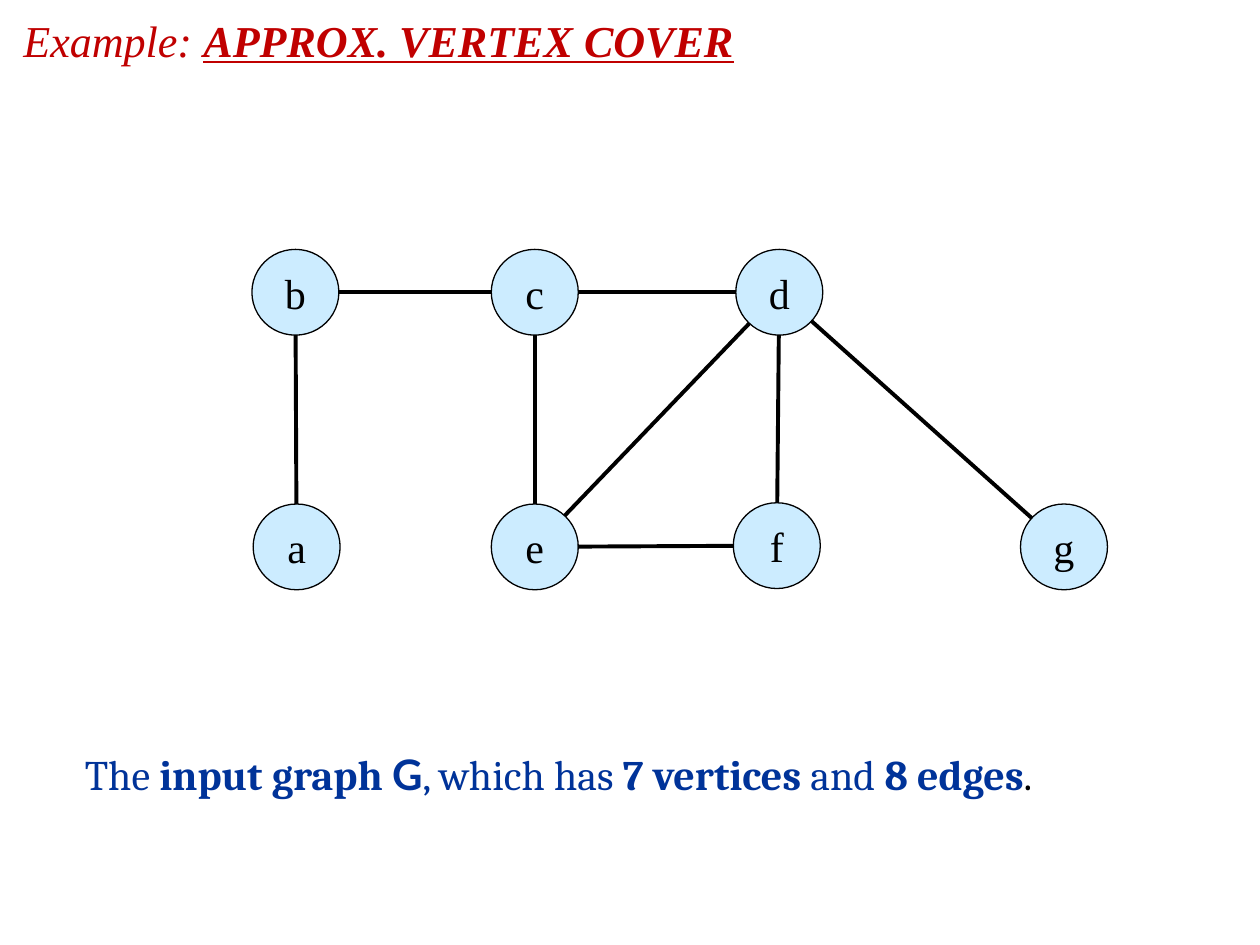
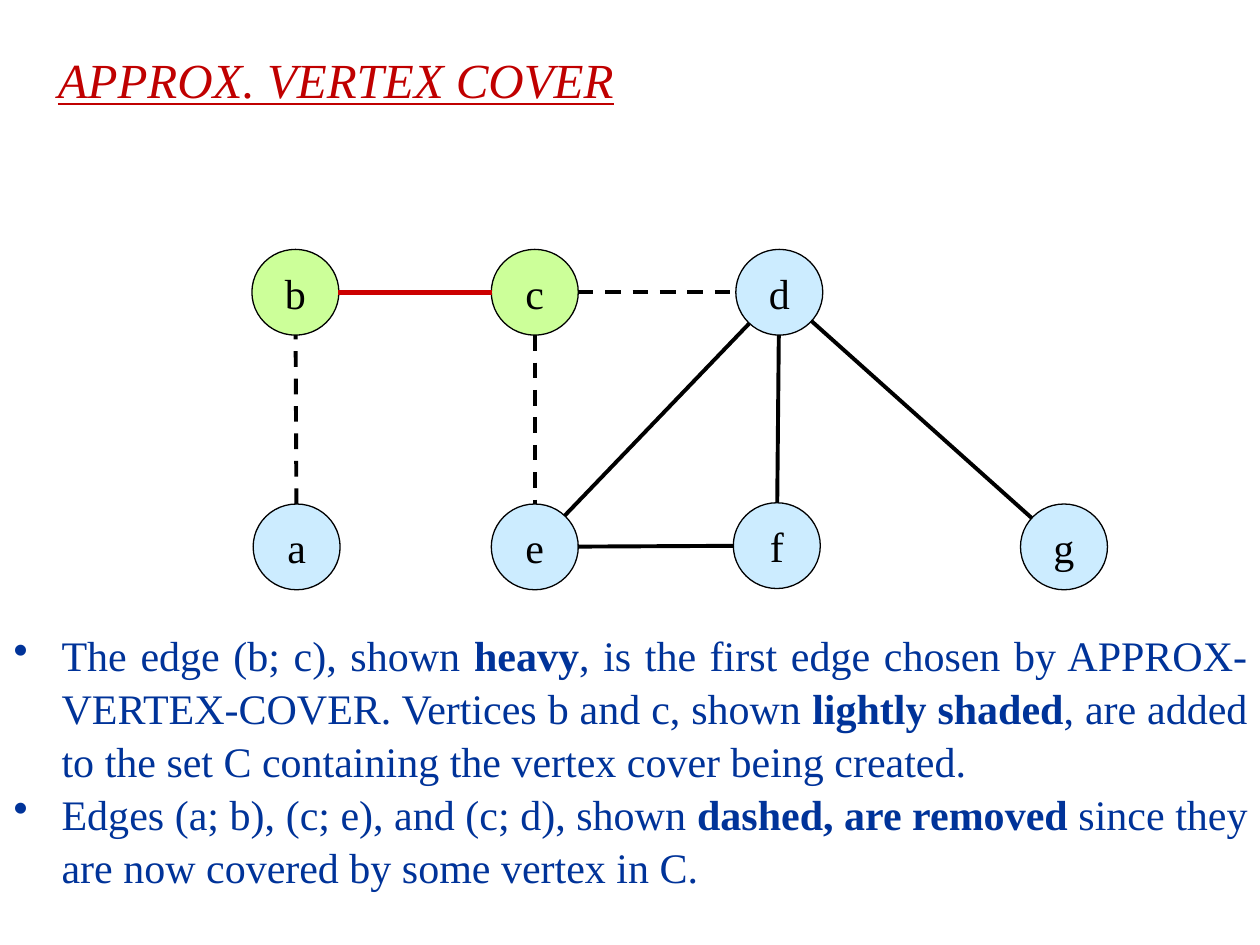
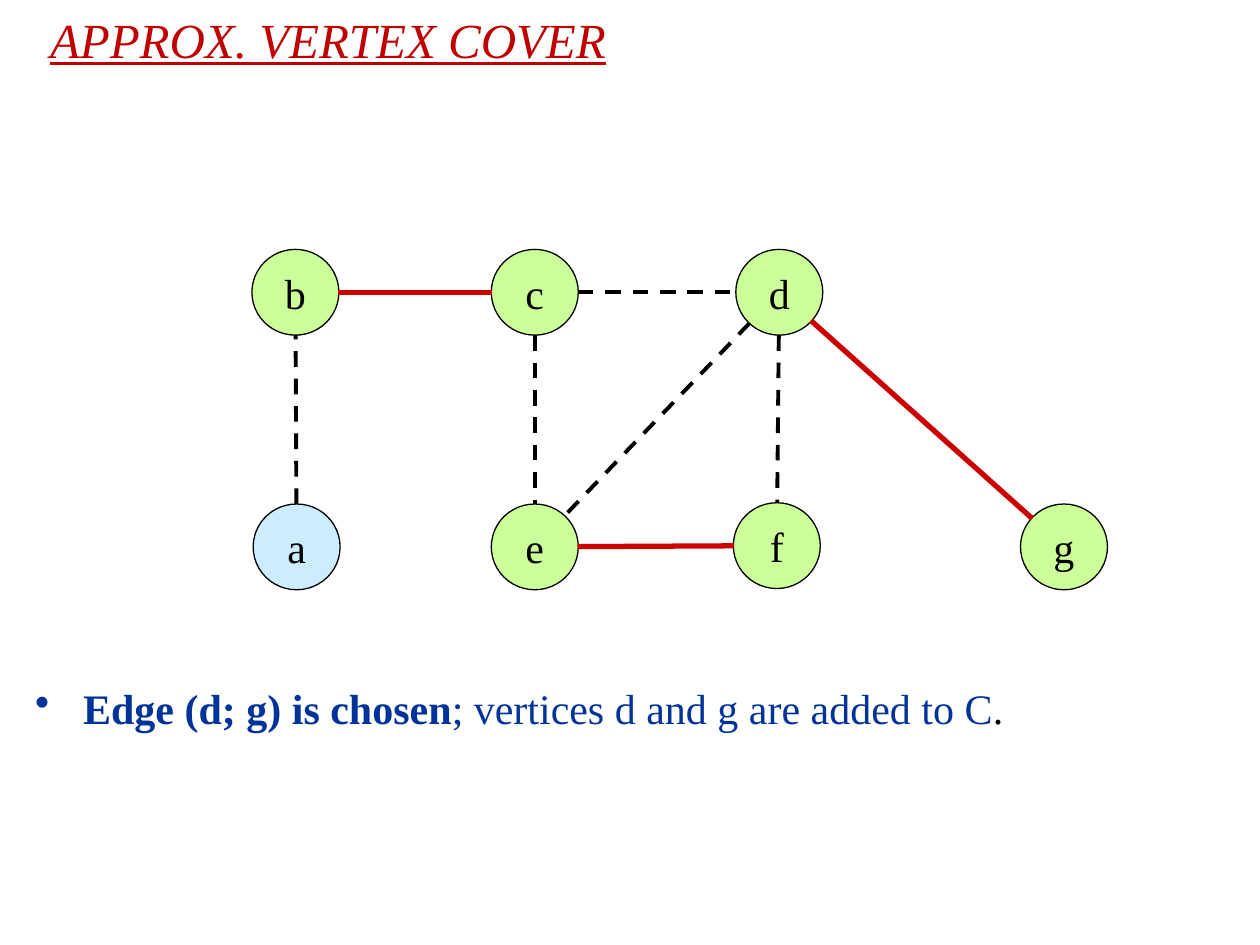
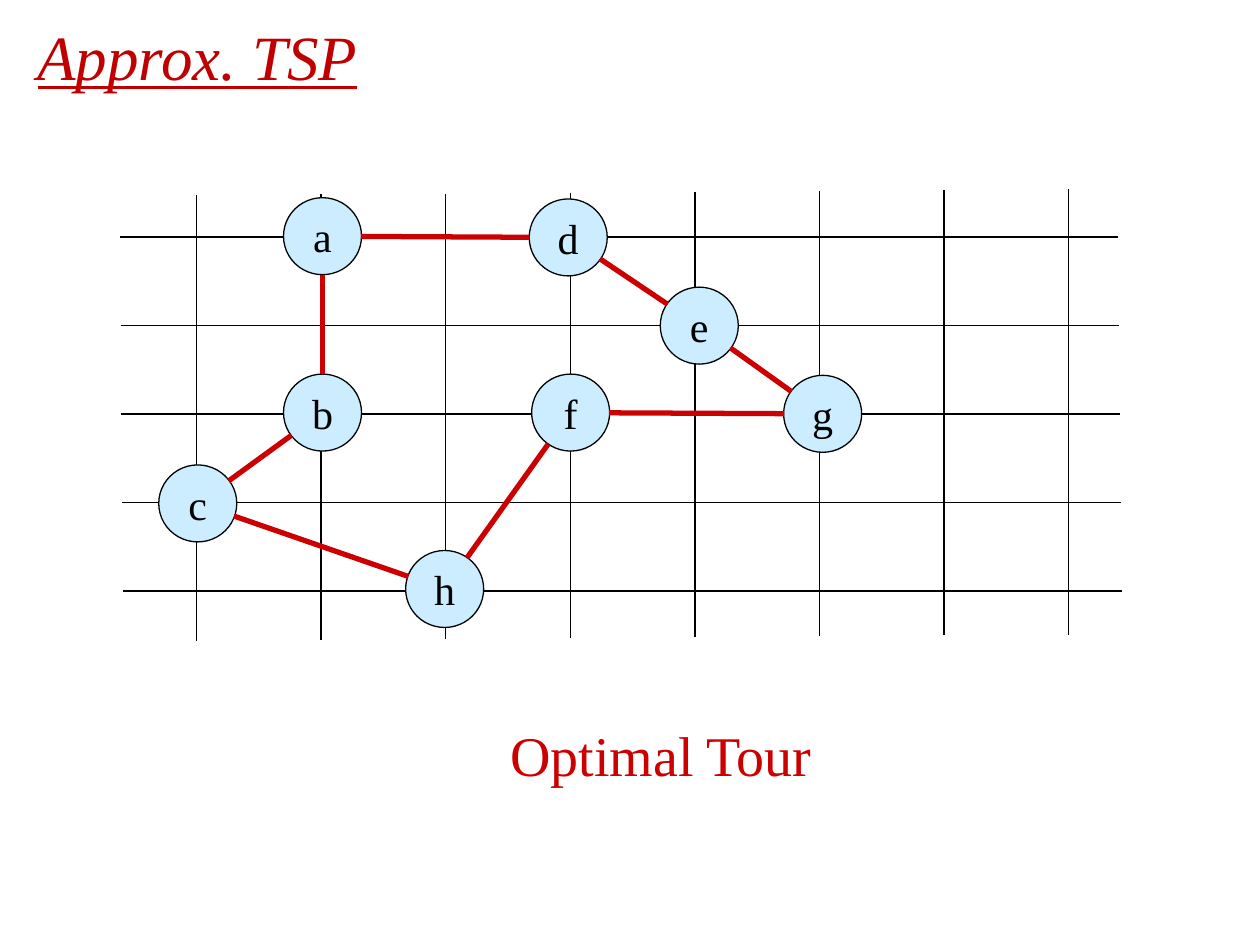
"""Build four slides on approximate vertex cover and the travelling salesman tour."""
import math
import pptx
import pptx.util
import pptx.dml.color
import pptx.enum.dml
import pptx.enum.shapes
import pptx.enum.text
import pptx.oxml.ns
from lxml import etree

Pt = pptx.util.Pt
RGB = pptx.dml.color.RGBColor
ALIGN = pptx.enum.text.PP_ALIGN
ANCHOR = pptx.enum.text.MSO_ANCHOR

BLACK = RGB(0x00, 0x00, 0x00)
MAROON = RGB(0xC0, 0x00, 0x00)
RED = RGB(0xCC, 0x00, 0x00)
NAVY = RGB(0x00, 0x33, 0x99)
BLUE = RGB(0xCC, 0xEC, 0xFF)
GREEN = RGB(0xCC, 0xFF, 0x99)
SERIF = "Times New Roman"

BOLD = {"bold": True}
TITLE = {"size": 28, "color": MAROON, "italic": True, "under": True}
BODY = {"size": 24, "color": NAVY}
LABEL = {"size": 24, "color": BLACK}

COVER = {
    "size": (49.7, 49),
    "nodes": {"a": (169.5, 312.5), "d": (445.3, 167), "c": (305.6, 167), "b": (168.8, 167),
              "e": (305.6, 312.5), "f": (443.9, 311.8), "g": (608, 312.5)},
    "edges": ["bc", "cd", "ef", "ce", "ab", "df", "de", "dg"],
}
TOUR = {
    "size": (44.6, 44),
    "nodes": {"h": (254.1, 336.6), "c": (113, 287.7), "b": (184.3, 235.8), "g": (470.1, 236.5),
              "f": (326.1, 235.8), "e": (399.6, 186.1), "a": (184.3, 135), "d": (324.7, 135.7)},
    "edges": ["ab", "bc", "de", "ch", "fg", "hf", "eg", "ad"],
}
GRID = {"rows": 5, "cols": 8, "left": 68.4, "top": 111.6, "x": 112.3, "y": 135.4,
        "wide": 570.5, "high": 254.5, "dx": 71.2, "dy": 50.6, "drift": 0.5}

SLIDES = [
    {"title": ((0, 2, 720, 43), [(" Example: ", {"under": False}), ("APPROX. VERTEX COVER", BOLD)],
               {"size": 25.2}),
     "graph": COVER,
     "box": (31, 422.6, 638, 36),
     "style": {"font": "Cambria"},
     "indent": (27.4, -17),
     "text": [[("The ", {}), ("input graph ", BOLD), ("G", {"bold": True, "font": "Lato"}),
               (", which has ", {}), ("7 vertices ", BOLD), ("and ", {}), ("8 edges", BOLD),
               (".", {"color": BLACK})]]},
    {"title": ((26, 0.7, 694, 68.4), [("APPROX. VERTEX COVER", {})], {}),
     "graph": COVER, "green": "bc", "heavy": ["bc"], "dashed": ["cd", "ce", "ab"],
     "box": (0.7, 355, 719.3, 152.6),
     "indent": (27.4, -27.4), "bullet": True, "align": ALIGN.JUSTIFY,
     "text": [[("The edge (b; c), shown ", {}), ("heavy", BOLD),
               (", is the first edge chosen by APPROX-VERTEX-COVER. Vertices b and c, shown ", {}),
               ("lightly shaded", BOLD),
               (", are added to the set C containing the vertex cover being created. ", {})],
              [("Edges (a; b), (c; e), and (c; d), shown ", {}), ("dashed, are removed ", BOLD),
               ("since they are now covered by some vertex in C.", {})]]},
    {"title": ((21.6, 0.7, 698.4, 45.4), [("APPROX. VERTEX COVER", {})], {}),
     "graph": COVER, "green": "bcdefg", "heavy": ["bc", "ef", "dg"],
     "dashed": ["cd", "ce", "ab", "df", "de"],
     "box": (13, 385.2, 593.3, 36),
     "indent": (27.4, -27.4), "bullet": True,
     "text": [[("Edge (d; g) is chosen", BOLD), ("; vertices d and g are added to C", {}),
               (".", {"color": BLACK})]]},
    {"title": ((14.4, -0.7, 703.4, 61.2), [("Approx. TSP", {})], {"size": 36}),
     "grid": GRID, "graph": TOUR, "heavy": TOUR["edges"],
     "box": (284.4, 406, 216.7, 46),
     "style": {"size": 32, "color": RED},
     "text": [[("Optimal Tour", {})]]},
]


def style(run, look):
    font = run.font
    font.name = look.get("font", SERIF)
    font.size = Pt(look["size"])
    font.color.rgb = look["color"]
    font.bold = look.get("bold", False)
    font.italic = look.get("italic", False)
    font.underline = look.get("under", False)


def write(par, runs, base):
    for text, look in runs:
        run = par.add_run()
        run.text = text
        style(run, {**base, **look})


def box(slide, area):
    frame = slide.shapes.add_textbox(*map(Pt, area)).text_frame
    frame.word_wrap = True
    return frame


def title(slide, area, runs, look):
    frame = box(slide, area)
    frame.vertical_anchor = ANCHOR.BOTTOM
    frame.margin_bottom = Pt(7.2)
    write(frame.paragraphs[0], runs, {**TITLE, **look})


def body(slide, page):
    frame = box(slide, page["box"])
    for num, runs in enumerate(page["text"]):
        par = frame.add_paragraph() if num else frame.paragraphs[0]
        par.alignment = page.get("align", ALIGN.LEFT)
        par.line_spacing = 1.05
        left, first = page.get("indent", (0, 0))
        props = par._p.get_or_add_pPr()
        props.set("marL", str(Pt(left)))
        props.set("indent", str(Pt(first)))
        if page.get("bullet"):
            mark = etree.SubElement(props, pptx.oxml.ns.qn("a:buChar"))
            mark.set("char", "•")
        write(par, runs, {**BODY, **page.get("style", {})})


def line(slide, start, end, color=BLACK, width=0.75, dash=False):
    kind = pptx.enum.shapes.MSO_CONNECTOR.STRAIGHT
    link = slide.shapes.add_connector(kind, *map(Pt, (*start, *end)))
    link.line.color.rgb = color
    link.line.width = Pt(width)
    if dash:
        link.line.dash_style = pptx.enum.dml.MSO_LINE.DASH
    etree.SubElement(link._element.spPr, pptx.oxml.ns.qn("a:effectLst"))


def node(slide, name, mid, size, fill):
    area = [mid[0] - size[0] / 2, mid[1] - size[1] / 2, *size]
    disc = slide.shapes.add_shape(pptx.enum.shapes.MSO_SHAPE.OVAL, *map(Pt, area))
    disc.shadow.inherit = False
    disc.fill.solid()
    disc.fill.fore_color.rgb = fill
    disc.line.color.rgb = BLACK
    disc.line.width = Pt(0.75)
    frame = disc.text_frame
    frame.word_wrap = False
    frame.vertical_anchor = ANCHOR.MIDDLE
    frame.text = name
    frame.paragraphs[0].alignment = ALIGN.CENTER
    style(frame.paragraphs[0].runs[0], LABEL)


def edge(slide, start, end, radius, **look):
    part = radius / math.dist(start, end)
    dx, dy = ((b - a) * part for a, b in zip(start, end))
    line(slide, (start[0] + dx, start[1] + dy), (end[0] - dx, end[1] - dy), **look)


def graph(slide, page):
    plan = page["graph"]
    nodes, size = plan["nodes"], plan["size"]
    for name, mid in nodes.items():
        node(slide, name, mid, size, GREEN if name in page.get("green", "") else BLUE)
    for pair in plan["edges"]:
        heavy = pair in page.get("heavy", [])
        edge(slide, nodes[pair[0]], nodes[pair[1]], size[1] / 2,
             color=RED if heavy else BLACK, width=3 if heavy else 2.25,
             dash=pair in page.get("dashed", []))


def grid(slide, plan):
    for row in range(plan["rows"]):
        left, y = plan["left"] + row * plan["drift"], plan["y"] + row * plan["dy"]
        line(slide, (left, y), (left + plan["wide"], y))
    for col in range(plan["cols"]):
        x, top = plan["x"] + col * plan["dx"], plan["top"] - col * plan["drift"]
        line(slide, (x, top), (x, top + plan["high"]))


deck = pptx.Presentation()
deck.slide_width, deck.slide_height = Pt(720), Pt(540)
for page in SLIDES:
    slide = deck.slides.add_slide(deck.slide_layouts[6])
    title(slide, *page["title"])
    if "grid" in page:
        grid(slide, page["grid"])
    graph(slide, page)
    body(slide, page)
deck.save("out.pptx")
